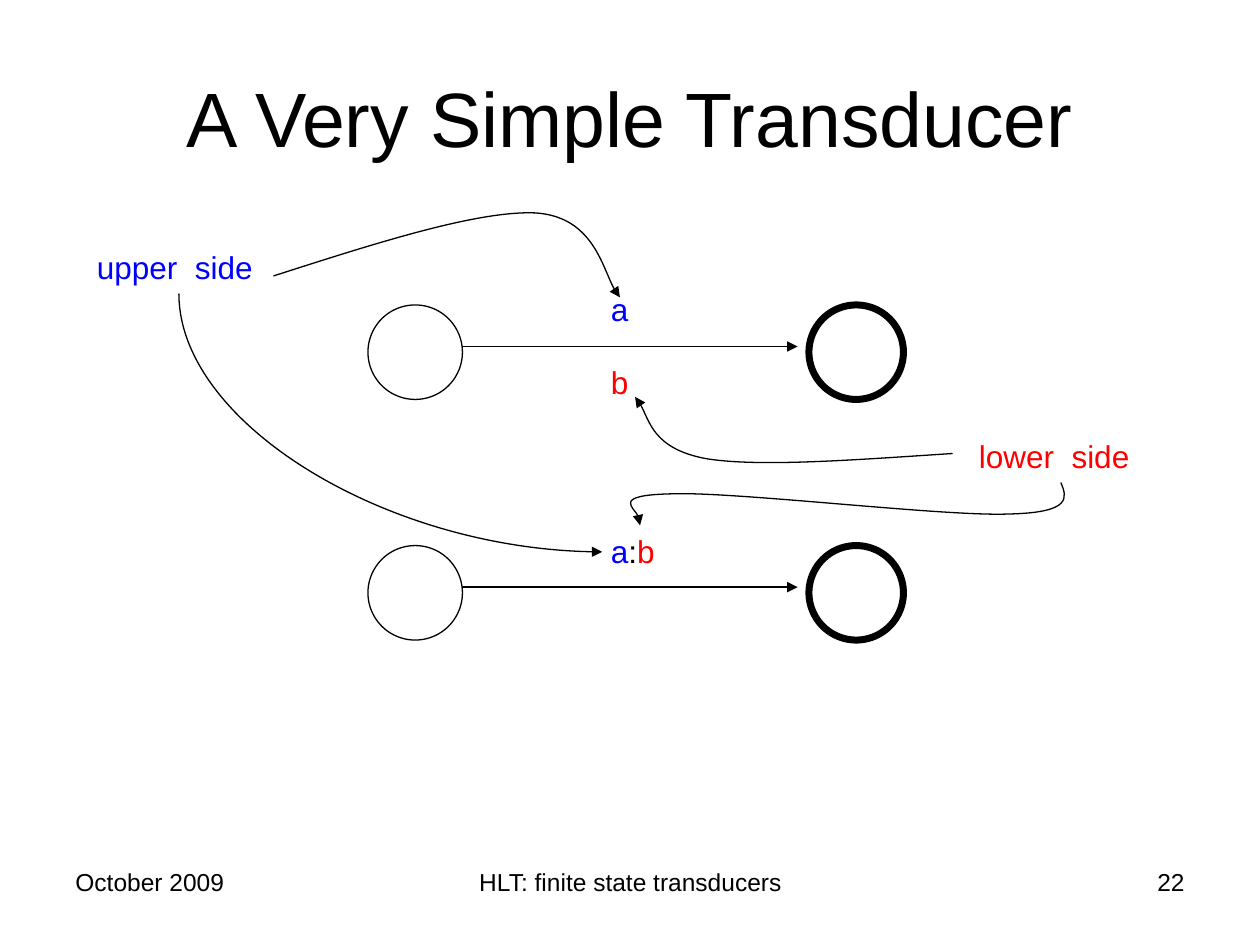
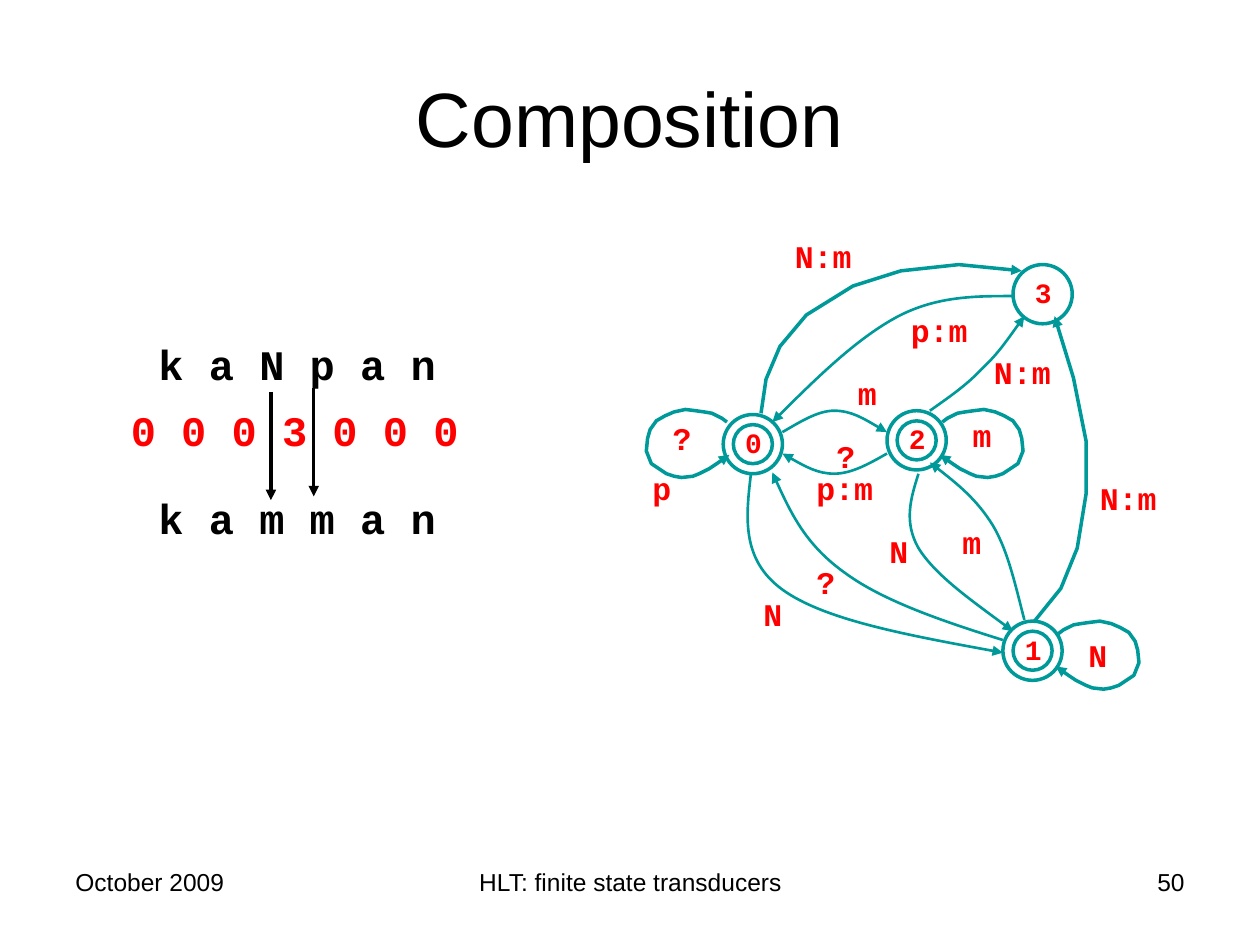
"""Build two slides on finite state transducers."""
from dataclasses import dataclass

from lxml.etree import SubElement
from pptx import Presentation
from pptx.dml.color import RGBColor as RGB
from pptx.enum.shapes import MSO_CONNECTOR as CONN, MSO_SHAPE as SHAPE
from pptx.enum.text import MSO_ANCHOR as ANCHOR, PP_ALIGN as ALIGN
from pptx.oxml.ns import qn
from pptx.util import Emu, Pt

PX = 9144


def px(n):
    return Emu(round(n * PX))


@dataclass(frozen=True)
class Theme:
    black: str = "000000"
    upper: str = "0000FF"
    lower: str = "FF0000"
    graph: str = "009999"
    sans: str = "Arial"
    mono: str = "Courier New"
    title: int = 44
    tape: int = 24
    label: int = 18
    state: int = 16
    footer: int = 14
    thin: float = 0.75
    curve: float = 1.5
    bold: float = 2
    final: float = 4


class Deck:
    def __init__(self, theme):
        self.t = theme
        self.prs = Presentation()
        self.prs.slide_width, self.prs.slide_height = px(1000), px(750)

    def slide(self, title, number):
        t = self.t
        self.s = self.prs.slides.add_slide(self.prs.slide_layouts[6])
        for text, x, w, align in (
            ("October 2009", 50, 233, ALIGN.LEFT),
            ("HLT: finite state transducers", 342, 317, ALIGN.CENTER),
            (str(number), 717, 233, ALIGN.RIGHT),
        ):
            self.text(text, x, 683, w, 52, size=t.footer, align=align)
        self.text(title, 50, 30, 900, 125, size=t.title,
                  align=ALIGN.CENTER, anchor=ANCHOR.MIDDLE)

    def text(self, text, x, y, w, h=40, *, size=None, color=None, font=None,
             bold=False, align=ALIGN.LEFT, anchor=ANCHOR.TOP, gap=0):
        t = self.t
        sp = self.s.shapes.add_textbox(px(x), px(y), px(w), px(h))
        tf = sp.text_frame
        tf.word_wrap, tf.vertical_anchor = True, anchor
        lines = text.split("\n") if isinstance(text, str) else [text]
        for i, line in enumerate(lines):
            p = tf.add_paragraph() if i else tf.paragraphs[0]
            p.alignment = align
            if i:
                p.space_before = Pt(gap)
            for word, tint in [(line, color)] if isinstance(line, str) else line:
                r = p.add_run()
                r.text = word
                r.font.name, r.font.size, r.font.bold = font or t.sans, Pt(size or t.label), bold
                r.font.color.rgb = RGB.from_string(tint or t.black)
        return sp

    def label(self, text, x, y):
        t = self.t
        self.text(text, x, y, 71 if len(text) > 1 else 42,
                  color=t.lower, font=t.mono, bold=True)

    def stroke(self, sp, width, color, arrow=False):
        sp.line.color.rgb = RGB.from_string(color)
        sp.line.width = Pt(width)
        pr = sp.element.spPr
        if arrow:
            SubElement(pr.find(qn("a:ln")), qn("a:tailEnd"), type="triangle")
        if pr.find(qn("a:effectLst")) is None:
            SubElement(pr, qn("a:effectLst"))

    def circle(self, x, y, d, width, color):
        sp = self.s.shapes.add_shape(SHAPE.OVAL, px(x), px(y), px(d), px(d))
        sp.shadow.inherit = False
        sp.fill.background()
        self.stroke(sp, width, color)
        return sp

    def state(self, name, x, y, final=True):
        t = self.t
        parts = [self.circle(x, y, 47, t.bold, t.graph)]
        if final:
            parts.append(self.circle(x + 8, y + 8, 31, t.bold, t.graph))
        parts.append(self.text(name, x + 4, y + 4, 40, 36, size=t.state, color=t.lower,
                               font=t.mono, bold=True, align=ALIGN.CENTER))
        self.s.shapes.add_group_shape(parts)

    def arrow(self, x1, y1, x2, y2, width):
        c = self.s.shapes.add_connector(CONN.STRAIGHT, px(x1), px(y1), px(x2), px(y2))
        self.stroke(c, width, self.t.black, arrow=True)

    def bend(self, x1, y1, x2, y2):
        cx, cy, w, h = (x1 + x2) / 2, (y1 + y2) / 2, y2 - y1, x2 - x1
        c = self.s.shapes.add_connector(CONN.CURVE, px(cx - w / 2), px(cy - h / 2),
                                        px(cx + w / 2), px(cy + h / 2))
        pr = c.element.spPr
        pr.find(qn("a:prstGeom")).set("prst", "curvedConnector2")
        frame = pr.find(qn("a:xfrm"))
        frame.set("rot", "16200000")
        frame.set("flipH", "1")
        self.stroke(c, self.t.thin, self.t.black, arrow=True)

    def edge(self, points, width, color, curved=False):
        fb = self.s.shapes.build_freeform(*points[0], scale=PX)
        fb.add_line_segments(points[1:], close=False)
        sp = fb.convert_to_shape()
        sp.shadow.inherit = False
        sp.fill.background()
        if curved:
            outline = next(sp.element.iter(qn("a:path")))
            steps = outline.findall(qn("a:lnTo"))
            for i in range(0, len(steps), 3):
                bezier = SubElement(outline, qn("a:cubicBezTo"))
                for step in steps[i:i + 3]:
                    bezier.append(step[0])
                    outline.remove(step)
        self.stroke(sp, width, color, arrow=True)


LOOP = [(2, 10), (6, 7), (14, 3), (20, 2), (27, 1), (35, 0), (44, 2), (51, 5),
        (58, 9), (63, 16), (65, 23), (66, 33), (62, 43), (56, 47), (50, 51),
        (44, 53), (38, 54), (29, 53), (24, 51), (16, 47), (10, 43), (0, 36)]


def simple_transducer(d):
    t = d.t
    d.slide("A Very Simple Transducer", 22)
    for y in (242, 433):
        d.circle(292, y, 75, t.thin, t.black)
        d.circle(642, y, 75, t.final, t.black)
        d.arrow(367, y + 33, 633, y + 33, t.thin)
    for text, x, y, w, color in (
        ("a", 475, 225, 40, t.upper),
        ("b", 475, 283, 40, t.lower),
        ([("a", t.upper), (":", t.black), ("b", t.lower)], 475, 417, 65, None),
        ("upper  side", 67, 192, 155, t.upper),
        ("lower  side", 767, 342, 155, t.lower),
    ):
        d.text(text, x, y, w, color=color)
    d.bend(142, 233, 478, 438)
    for points in (
        [(217, 219), (298, 193), (379, 167), (425, 169), (471, 172), (481, 225), (492, 236)],
        [(756, 360), (679, 365), (602, 371), (560, 364), (518, 356), (513, 324), (504, 315)],
        [(842, 383), (847, 395), (851, 407), (800, 408), (749, 410), (582, 390), (533, 392),
         (485, 393), (513, 412), (508, 417)],
    ):
        d.edge(points, t.thin, t.black, curved=True)


def composition(d):
    t = d.t
    d.slide("Composition", 50)
    for name, x, y, final in (("0", 574, 329, True), ("3", 804, 210, False),
                              ("1", 796, 493, True), ("2", 704, 326, True)):
        d.state(name, x, y, final)
    for x, y, side in ((579, 325, -1), (838, 493, 1), (746, 325, 1)):
        d.edge([(x + side * dx, y + dy) for dx, dy in LOOP], t.bold, t.graph)
    for points in (
        [(604, 328), (608, 301), (619, 275), (640, 250), (677, 227), (715, 215),
         (761, 210), (811, 215)],
        [(821, 493), (842, 467), (855, 435), (862, 392), (862, 350), (852, 300), (837, 251)],
    ):
        d.edge(points, t.bold, t.graph)
    for points in (
        [(621, 343), (635, 335), (649, 326), (662, 326), (676, 326), (690, 335), (704, 343)],
        [(704, 360), (690, 368), (676, 376), (662, 376), (649, 376), (635, 368), (621, 360)],
        [(804, 235), (774, 235), (744, 235), (713, 251), (681, 268), (647, 301), (613, 335)],
        [(596, 376), (592, 410), (588, 444), (621, 468), (654, 492), (725, 505), (796, 518)],
        [(796, 508), (748, 493), (701, 477), (671, 455), (640, 433), (626, 404), (613, 375)],
        [(729, 376), (723, 395), (717, 414), (729, 435), (742, 456), (773, 478), (804, 501)],
        [(813, 492), (806, 465), (800, 437), (788, 417), (775, 396), (756, 381), (738, 367)],
        [(738, 326), (752, 316), (767, 306), (779, 293), (792, 281), (802, 266), (813, 251)],
    ):
        d.edge(points, t.curve, t.graph, curved=True)
    for text, x, y in (
        ("N:m", 621, 183), ("N", 596, 467), ("?", 654, 342), ("?", 524, 328),
        ("N:m", 863, 375), ("m", 671, 292), ("p", 508, 367), ("N", 854, 500),
        ("?", 638, 442), ("m", 762, 325), ("p:m", 638, 367), ("p:m", 713, 242),
        ("N", 696, 417), ("m", 754, 410), ("N:m", 779, 275),
    ):
        d.label(text, x, y)
    d.text("k a N p a n\nk a m m a n", 116, 264, 260, 170, size=t.tape, font=t.mono,
           bold=True, gap=59)
    d.text("0 0 0 3 0 0 0", 94, 316, 300, 50, size=t.tape, color=t.lower,
           font=t.mono, bold=True)
    for x, y in ((215, 311), (249, 308)):
        d.arrow(x, y, x, y + 86, t.bold)


def main():
    d = Deck(Theme())
    simple_transducer(d)
    composition(d)
    d.prs.save("out.pptx")


if __name__ == "__main__":
    main()
